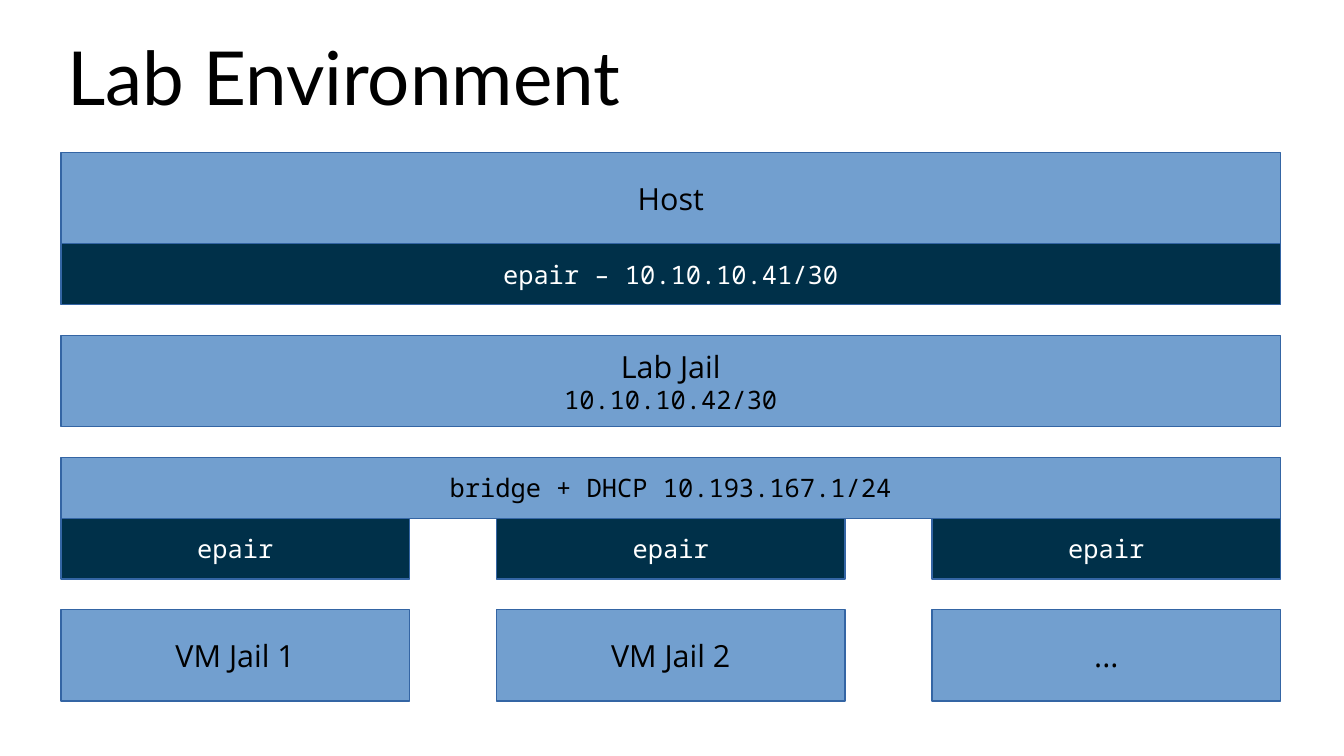
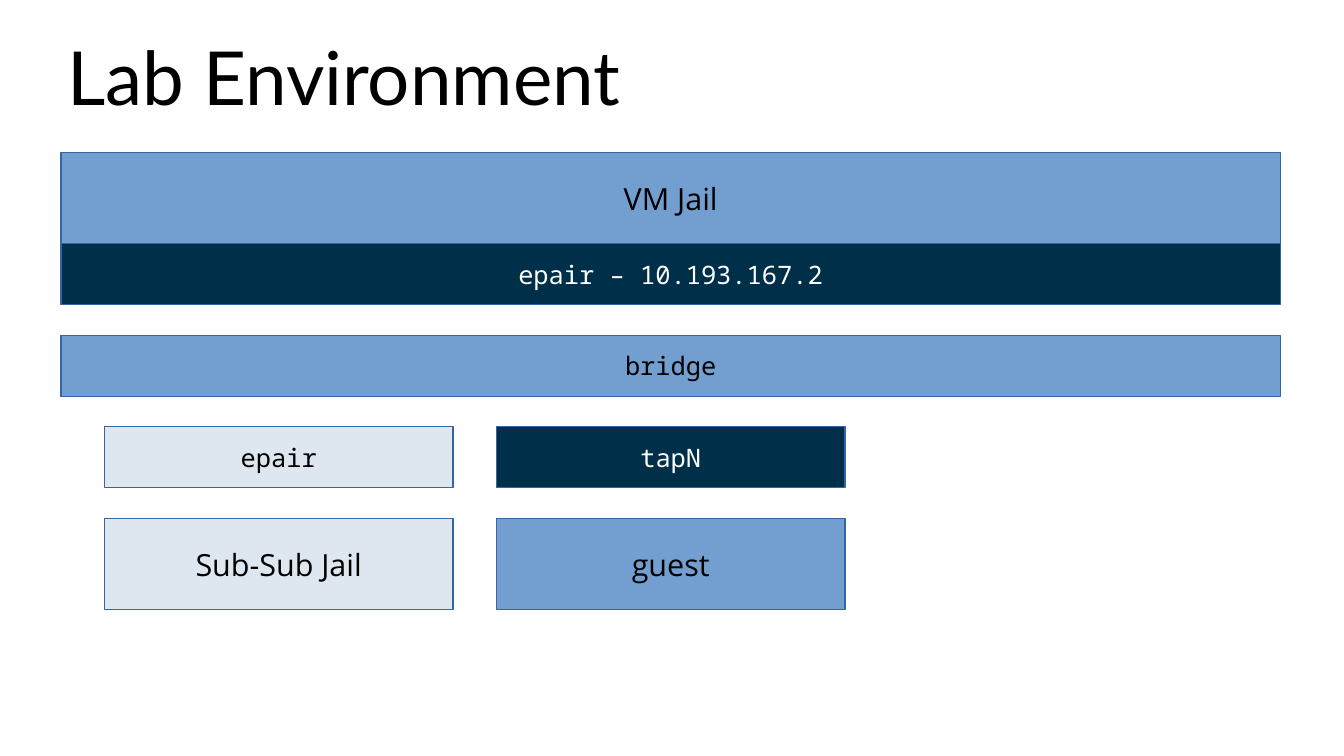
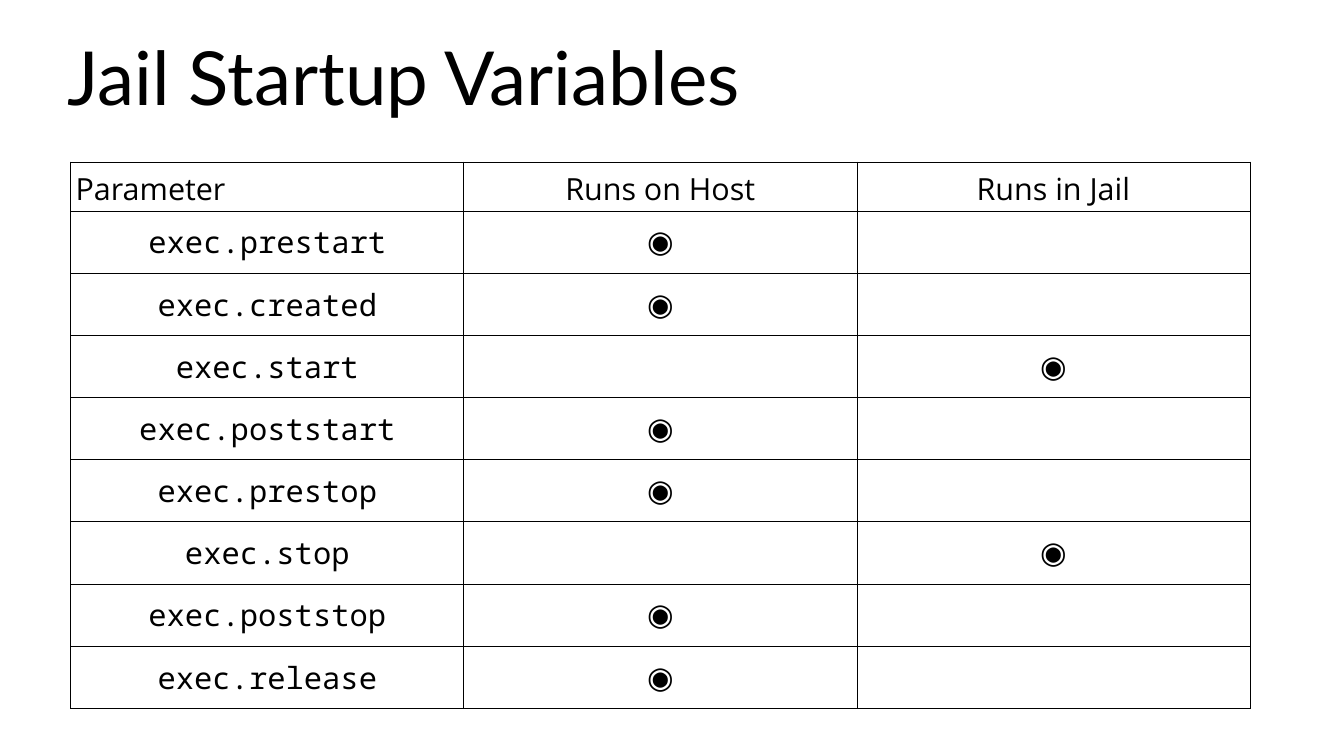
from lxml.etree import SubElement
from pptx import Presentation
from pptx.dml.color import RGBColor
from pptx.enum.shapes import MSO_SHAPE
from pptx.enum.text import MSO_ANCHOR, MSO_AUTO_SIZE, PP_ALIGN
from pptx.oxml.ns import qn
from pptx.util import Inches, Pt

COLORS = {
    "text": "000000",
    "light_text": "FFFFFF",
    "blue": "729FCF",
    "navy": "003049",
    "pale": "DEE6EF",
    "outline": "3465A4",
}
SANS, MONO, TITLE_FONT, MARK_FONT = "Open Sans", "Noto Sans Mono", "Lato", "Cabin"
MARK = "◉"

SLIDE_W, SLIDE_H = 11.02, 6.2
LEFT, TOP = 0.5, 1.25
COL, ROW = 10 / 28, 0.25
FULL, THIRD = 28, 8

KINDS = {"node": (3, SANS, 18), "net": (2, MONO, 15)}

DIAGRAMS = [
    ("Lab Environment", [
        (0, 0, FULL, "node", "blue", "Host"),
        (0, 3, FULL, "net", "navy", "epair – 10.10.10.41/30"),
        (0, 6, FULL, "node", "blue", "Lab Jail", "10.10.10.42/30"),
        (0, 10, FULL, "net", "blue", "bridge + DHCP 10.193.167.1/24"),
        (0, 12, THIRD, "net", "navy", "epair"),
        (10, 12, THIRD, "net", "navy", "epair"),
        (20, 12, THIRD, "net", "navy", "epair"),
        (0, 15, THIRD, "node", "blue", "VM Jail 1"),
        (10, 15, THIRD, "node", "blue", "VM Jail 2"),
        (20, 15, THIRD, "node", "blue", "..."),
    ]),
    ("Lab Environment", [
        (0, 0, FULL, "node", "blue", "VM Jail"),
        (0, 3, FULL, "net", "navy", "epair – 10.193.167.2"),
        (0, 6, FULL, "net", "blue", "bridge"),
        (1, 9, THIRD, "net", "pale", "epair"),
        (10, 9, THIRD, "net", "navy", "tapN"),
        (1, 12, THIRD, "node", "pale", "Sub-Sub Jail"),
        (10, 12, THIRD, "node", "blue", "guest"),
    ]),
]

VARIABLES_TITLE = "Jail Startup Variables"
HEADER = ("Parameter", "Runs on Host", "Runs in Jail")
VARIABLES = [
    ("exec.prestart", "host"),
    ("exec.created", "host"),
    ("exec.start", "jail"),
    ("exec.poststart", "host"),
    ("exec.prestop", "host"),
    ("exec.stop", "jail"),
    ("exec.poststop", "host"),
    ("exec.release", "host"),
]


def rgb(name):
    return RGBColor.from_string(COLORS[name])


def style_font(font, name, size, color="text"):
    font.name = name
    font.size = Pt(size)
    font.color.rgb = rgb(color)


def add_titled_slide(prs, title):
    s = prs.slides.add_slide(prs.slide_layouts[5])
    sp = s.shapes.title
    sp.left, sp.top, sp.width, sp.height = map(Inches, (0.55, 0.21, 9.92, 0.83))
    tf = sp.text_frame
    tf.text = title
    tf.auto_size = MSO_AUTO_SIZE.NONE
    tf.vertical_anchor = MSO_ANCHOR.MIDDLE
    tf.margin_left = tf.margin_right = tf.margin_top = tf.margin_bottom = 0
    p = tf.paragraphs[0]
    p.alignment = PP_ALIGN.LEFT
    style_font(p.font, TITLE_FONT, 44)
    return s


def add_box(s, col, row, span, kind, fill, label, detail=None):
    rows, font, size = KINDS[kind]
    sp = s.shapes.add_shape(
        MSO_SHAPE.RECTANGLE,
        Inches(LEFT + col * COL), Inches(TOP + row * ROW),
        Inches(span * COL), Inches(rows * ROW))
    sp.shadow.inherit = False
    sp.fill.solid()
    sp.fill.fore_color.rgb = rgb(fill)
    sp.line.color.rgb = rgb("outline")
    sp.line.width = Pt(0)
    tf = sp.text_frame
    tf.word_wrap = True
    tf.vertical_anchor = MSO_ANCHOR.MIDDLE
    p = tf.paragraphs[0]
    p.alignment = PP_ALIGN.CENTER
    style_font(p.font, font, size, "light_text" if fill == "navy" else "text")
    p.add_run().text = label
    if detail:
        p.add_line_break()
        r = p.add_run()
        r.text = detail
        style_font(r.font, MONO, 15)


def set_borders(cell):
    tc_pr = cell._tc.get_or_add_tcPr()
    for side in ("lnL", "lnR", "lnT", "lnB"):
        ln = SubElement(tc_pr, qn(f"a:{side}"), w=str(Pt(0.57)))
        fill = SubElement(ln, qn("a:solidFill"))
        SubElement(fill, qn("a:srgbClr"), val=COLORS["text"])


def fill_cell(cell, text, font, align, anchor, bottom):
    set_borders(cell)
    cell.fill.background()
    cell.margin_left = cell.margin_right = Inches(0.04)
    cell.margin_top = Inches(0.05)
    cell.margin_bottom = Inches(bottom)
    cell.vertical_anchor = anchor
    cell.text = text
    p = cell.text_frame.paragraphs[0]
    p.alignment = align
    style_font(p.font, font, 18)


def add_variables_table(s):
    rows = [HEADER] + [
        (name, *(MARK if place == where else "" for place in ("host", "jail")))
        for name, where in VARIABLES]
    header_h, row_h = 0.4, 0.51
    table = s.shapes.add_table(
        len(rows), len(HEADER), Inches(0.58), Inches(1.33),
        Inches(9.67), Inches(header_h + row_h * len(VARIABLES))).table
    table.first_row = table.horz_banding = False
    for i, texts in enumerate(rows):
        table.rows[i].height = Inches(row_h if i else header_h)
        anchor = MSO_ANCHOR.MIDDLE if i else MSO_ANCHOR.TOP
        bottom = 0.05 if i else 0.01
        for j, text in enumerate(texts):
            font = SANS if i == 0 else MARK_FONT if j else MONO
            align = PP_ALIGN.CENTER if i or j else PP_ALIGN.LEFT
            fill_cell(table.cell(i, j), text, font, align, anchor, bottom)


def main():
    prs = Presentation()
    prs.slide_width, prs.slide_height = Inches(SLIDE_W), Inches(SLIDE_H)
    for title, boxes in DIAGRAMS:
        s = add_titled_slide(prs, title)
        for box in boxes:
            add_box(s, *box)
    add_variables_table(add_titled_slide(prs, VARIABLES_TITLE))
    prs.save("out.pptx")


if __name__ == "__main__":
    main()
